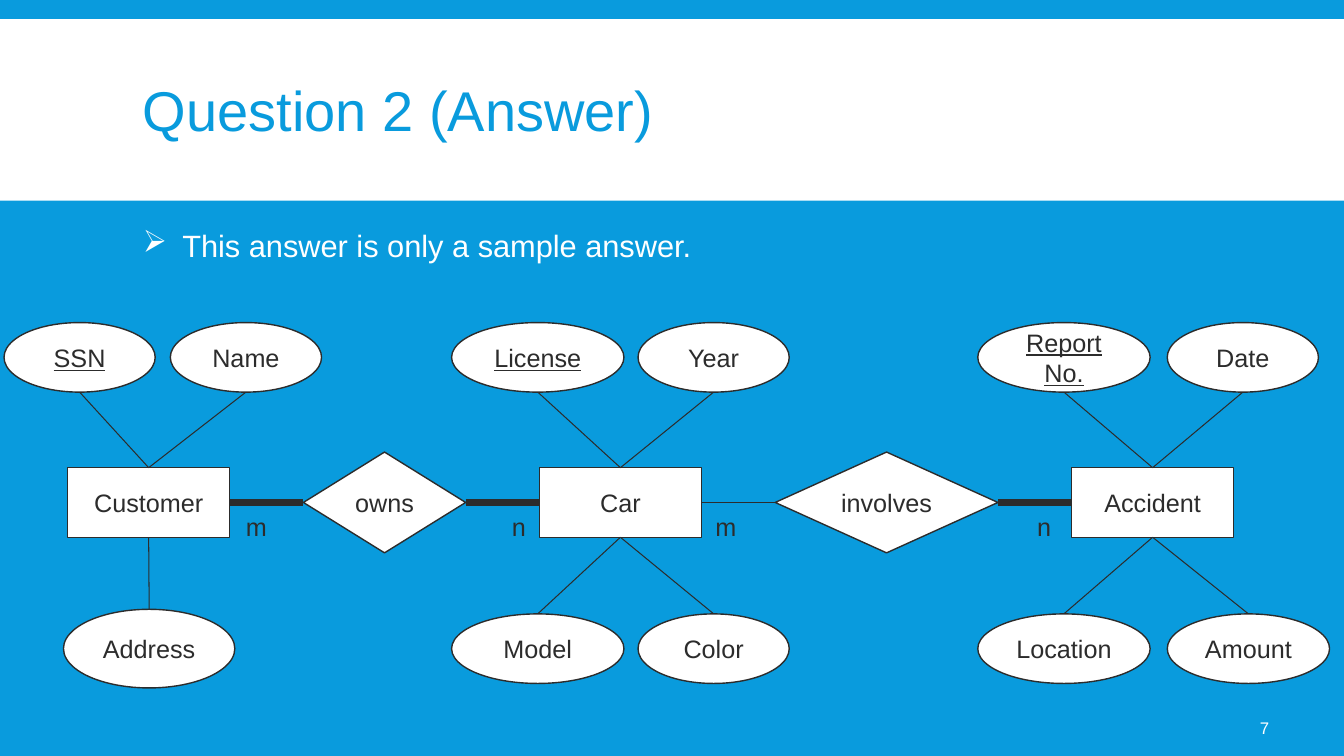
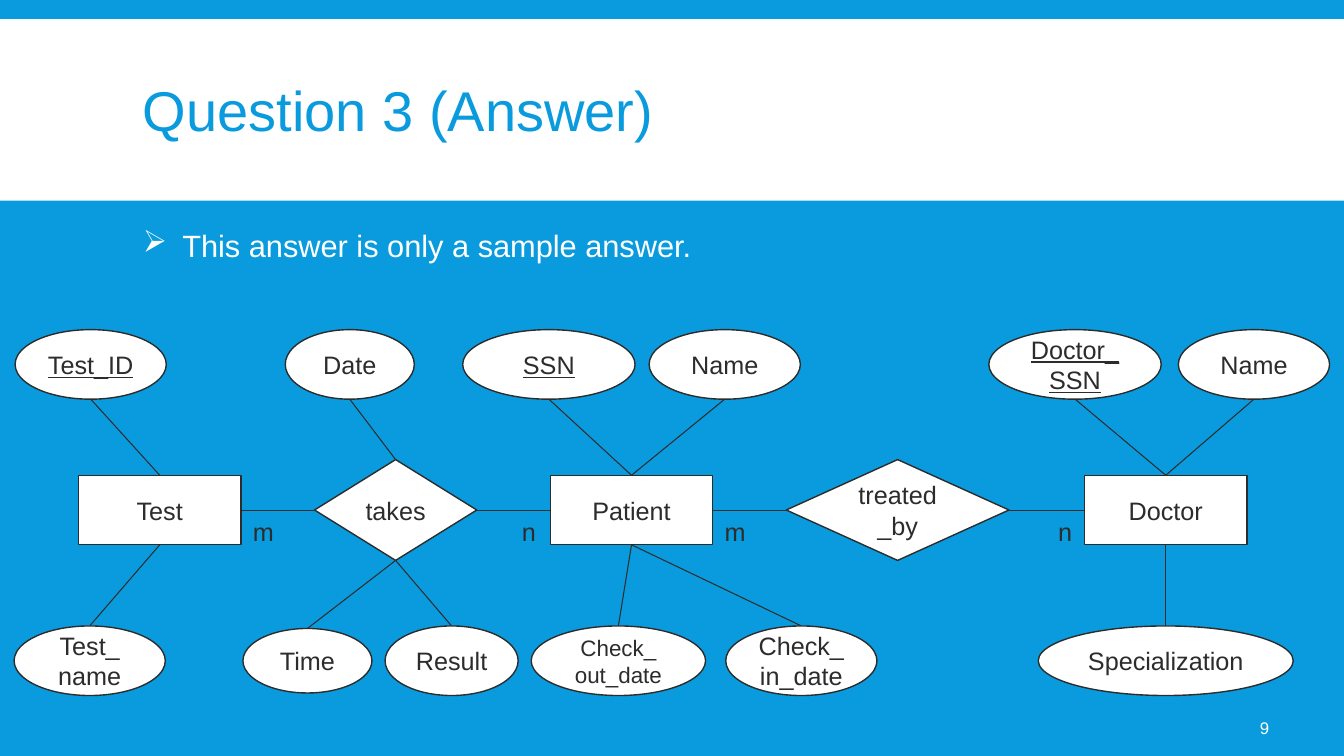
from dataclasses import dataclass

from lxml.etree import SubElement
from pptx import Presentation
from pptx.dml.color import RGBColor
from pptx.enum.shapes import MSO_CONNECTOR as Wire, MSO_SHAPE as Form
from pptx.enum.text import MSO_ANCHOR as Anchor, PP_ALIGN as Align
from pptx.oxml.ns import qn
from pptx.util import Emu, Inches, Pt

CELL = Inches(0.1)
WIDE, HIGH = 133.33, 75
BLUE, WHITE, DARK = "099BDD", "FFFFFF", "2C2C2C"
THIN, THICK = 0.75, 5
FLAT = {"margin_left": 0, "margin_right": 0, "word_wrap": True,
        "vertical_anchor": Anchor.MIDDLE}
TITLE = {"word_wrap": True, "vertical_anchor": Anchor.MIDDLE}
FOOT = {**TITLE, "margin_left": Inches(0.05)}


@dataclass(frozen=True)
class Node:
    text: str
    left: float
    wide: float = 16.1
    form: Form = Form.RECTANGLE

    @property
    def tall(self) -> float:
        return 10 if self.form == Form.DIAMOND else 6.9

    @property
    def mid(self) -> float:
        return self.left + self.wide / 2

    @property
    def right(self) -> float:
        return self.left + self.wide


@dataclass(frozen=True)
class Field:
    text: str
    owner: int
    left: float
    wide: float = 15
    tall: float = 6.9
    key: bool = False
    size: int = 18


@dataclass(frozen=True)
class Page:
    title: str
    number: int
    rows: tuple[float, float, float]
    nodes: list[Node]
    links: tuple[float, ...]
    upper: list[Field]
    lower: list[Field]
    marks: list[tuple[str, float]]
    base: float


PAGES = [
    Page(
        "Question 2 (Answer)", 7, (35.45, 49.85, 64.35),
        [Node("Customer", 6.7), Node("owns", 30.1, form=Form.DIAMOND),
         Node("Car", 53.5), Node("involves", 76.9, 22.1, Form.DIAMOND),
         Node("Accident", 106.3)],
        (THICK, THICK, THIN, THICK),
        [Field("SSN", 0, 0.4, key=True), Field("Name", 0, 16.9),
         Field("License", 2, 44.8, 17.1, key=True), Field("Year", 2, 63.3),
         Field("Report\nNo.", 4, 97, 17.1, key=True), Field("Date", 4, 115.8)],
        [Field("Address", 0, 6.3, 17, 7.8),
         Field("Model", 2, 44.8, 17.1), Field("Color", 2, 63.3),
         Field("Location", 4, 97, 17.1), Field("Amount", 4, 115.8, 16.1)],
        [("m", 23.4), ("n", 49.8), ("m", 70), ("n", 101.9)], 50.2),
    Page(
        "Question 3 (Answer)", 9, (36.15, 50.6, 65.55),
        [Node("Test", 7.8), Node("takes", 31.2, form=Form.DIAMOND),
         Node("Patient", 54.6), Node("treated\n_by", 78, 22.1, Form.DIAMOND),
         Node("Doctor", 107.6)],
        (THIN,) * 4,
        [Field("Test_ID", 0, 1.5, key=True), Field("Date", 1, 28.3, 12.8),
         Field("SSN", 2, 45.9, 17.1, key=True), Field("Name", 2, 64.4),
         Field("Doctor_\nSSN", 4, 98.1, 17.1, key=True),
         Field("Name", 4, 116.9)],
        [Field("Test_\nname", 0, 1.4), Field("Time", 1, 24.1, 12.8, 6.4),
         Field("Result", 1, 38.2, 13.2),
         Field("Check_\nout_date", 2, 52.7, 17.3, size=16),
         Field("Check_\nin_date", 2, 72),
         Field("Specialization", 4, 103, 25.3)],
        [("m", 24.1), ("n", 50.8), ("m", 70.9), ("n", 104)], 50.7),
]


def cells(*counts: float) -> list[Emu]:
    return [Emu(round(count * CELL)) for count in counts]


def tint(code: str) -> RGBColor:
    return RGBColor.from_string(code)


def apply(target, values: dict) -> None:
    for name, value in values.items():
        setattr(target, name, value)


def write(shape, text: str, size: float, color: str, frame: dict,
          align: Align = Align.LEFT, under: bool = False):
    apply(shape.text_frame, frame)
    para = shape.text_frame.paragraphs[0]
    para.text = text
    para.alignment = align
    look = {"name": "Arial", "size": Pt(size)}
    if under:
        look["underline"] = True
    for run in para.runs:
        apply(run.font, look)
        run.font.color.rgb = tint(color)
    return para


def block(slide, form: Form, box: tuple, edge: bool = True):
    shape = slide.shapes.add_shape(form, *cells(*box))
    shape.shadow.inherit = False
    shape.fill.solid()
    shape.fill.fore_color.rgb = tint(WHITE)
    if edge:
        shape.line.color.rgb = tint(DARK)
        shape.line.width = Pt(1)
    else:
        shape.line.fill.background()
    return shape


def label(slide, box: tuple, *args, **extra):
    return write(slide.shapes.add_textbox(*cells(*box)), *args, **extra)


def join(slide, ends: tuple, weight: float) -> None:
    line = slide.shapes.add_connector(Wire.STRAIGHT, *cells(*ends))
    line.line.color.rgb = tint(DARK)
    line.line.width = Pt(weight)
    SubElement(line._element.spPr, qn("a:effectLst"))


def bullet(para) -> None:
    apply(para, {"space_before": Pt(12), "space_after": Pt(2)})
    props = para._p.get_or_add_pPr()
    props.set("marL", str(Inches(0.39)))
    props.set("indent", str(-Inches(0.39)))
    color = SubElement(props, qn("a:buClr"))
    SubElement(color, qn("a:srgbClr"), val=WHITE)
    SubElement(props, qn("a:buChar"), char="➢")


def frame(slide, page: Page) -> None:
    block(slide, Form.RECTANGLE, (0, 1.9, WIDE, 18), edge=False)
    head = label(slide, (13.2, 3.1, 107, 16.5), page.title, 40, BLUE, TITLE)
    head.line_spacing = 0.85
    bullet(label(slide, (13.2, 22, 107, 46),
                 "This answer is only a sample answer.", 22, WHITE,
                 {"word_wrap": True}))
    label(slide, (116.6, 70.2, 10.3, 4), str(page.number), 12, WHITE, FOOT,
          align=Align.RIGHT)


def field(slide, item: Field, node: Node, row: float, axis: float) -> None:
    side = 1 if row > axis else -1
    join(slide, (node.mid, axis + side * node.tall / 2,
                 item.left + item.wide / 2, row - side * item.tall / 2), THIN)
    oval = block(slide, Form.OVAL,
                 (item.left, row - item.tall / 2, item.wide, item.tall))
    write(oval, item.text, item.size, DARK, FLAT, Align.CENTER, item.key)


def graph(slide, page: Page) -> None:
    top, axis, low = page.rows
    for node, after, weight in zip(page.nodes, page.nodes[1:], page.links):
        join(slide, (node.right, axis, after.left, axis), weight)
    for node in page.nodes:
        shape = block(slide, node.form, (node.left, axis - node.tall / 2,
                                         node.wide, node.tall))
        write(shape, node.text, 18, DARK, FLAT, Align.CENTER)
    for row, items in ((top, page.upper), (low, page.lower)):
        for item in items:
            field(slide, item, page.nodes[item.owner], row, axis)
    for text, left in page.marks:
        label(slide, (left, page.base, 4, 4), text, 18, DARK,
              {"word_wrap": False})


def main() -> None:
    deck = Presentation()
    deck.slide_width, deck.slide_height = cells(WIDE, HIGH)
    back = deck.slide_master.background.fill
    back.solid()
    back.fore_color.rgb = tint(BLUE)
    for page in PAGES:
        slide = deck.slides.add_slide(deck.slide_layouts[6])
        frame(slide, page)
        graph(slide, page)
    deck.save("out.pptx")


if __name__ == "__main__":
    main()
